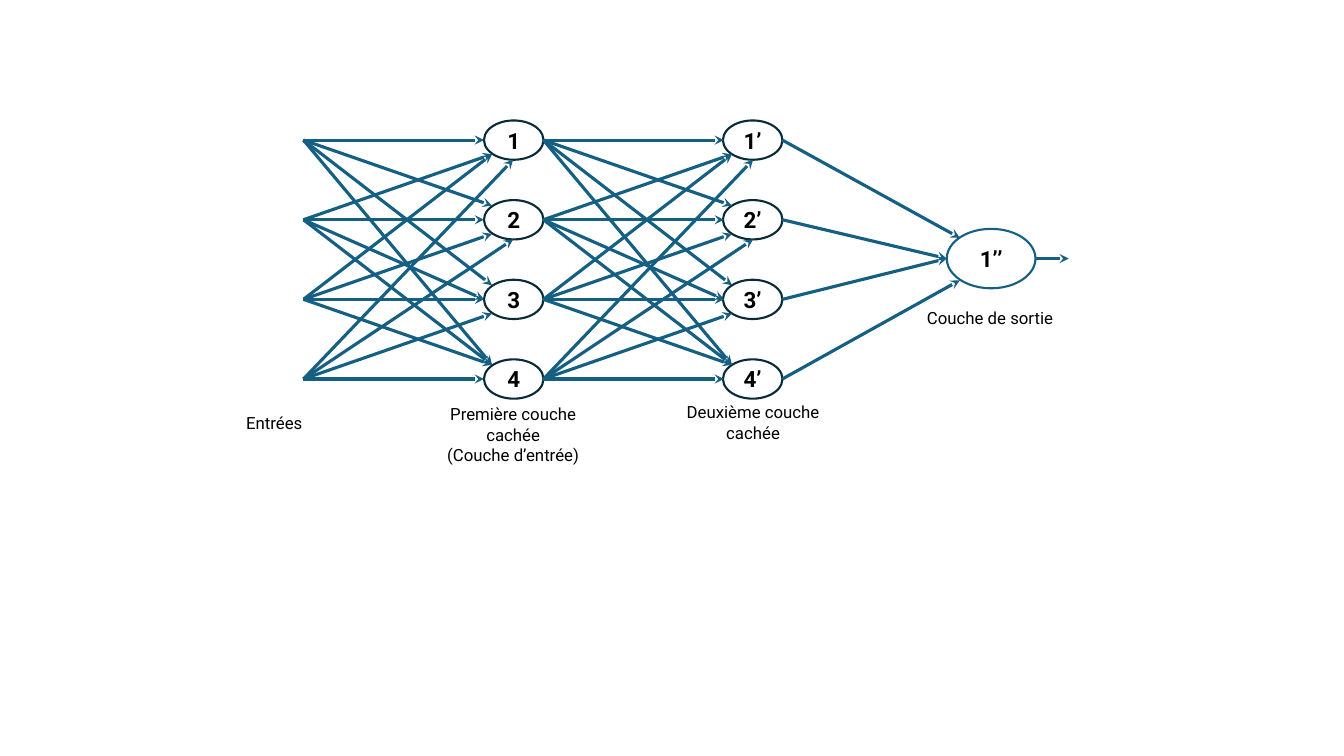
from lxml import etree
from pptx import Presentation
from pptx import util as u
from pptx.dml.color import RGBColor
from pptx.enum import shapes, text
from pptx.oxml.ns import qn

BLACK = RGBColor(0x00, 0x00, 0x00)
NAVY = RGBColor(0x09, 0x2A, 0x39)
TEAL = RGBColor(0x15, 0x60, 0x82)

ROWS = [1.39 + 0.79 * i for i in range(4)]
NODE_W, NODE_H = 0.59, 0.39
INPUT_X, LAYER_1_X, LAYER_2_X = 3.01, 4.8, 7.17
OUTPUT_X, OUTPUT_Y = 9.39, 2.565
OUTPUT_W, OUTPUT_H = 0.88, 0.59


def write(tf, lines, size=12, bold=False, color=BLACK, font="Roboto"):
    """Fill a text frame with centred paragraphs, one per line."""
    for i, line in enumerate(lines):
        p = tf.paragraphs[0] if i == 0 else tf.add_paragraph()
        p.alignment = text.PP_ALIGN.CENTER
        r = p.add_run()
        r.text = line
        r.font.size = u.Pt(size)
        r.font.bold = bold
        r.font.name = font
        r.font.color.rgb = color


class Diagram:
    node_line = u.Pt(1.5)
    arrow_line = u.Pt(2.25)

    def __init__(self, s):
        self.s = s

    def node(self, label, x, middle, w=NODE_W, h=NODE_H, outline=NAVY):
        sp = self.s.shapes.add_shape(
            shapes.MSO_SHAPE.OVAL, u.Inches(x), u.Inches(middle - h / 2),
            u.Inches(w), u.Inches(h))
        sp.shadow.inherit = False
        sp.fill.background()
        sp.line.color.rgb = outline
        sp.line.width = self.node_line
        tf = sp.text_frame
        tf.margin_left = tf.margin_right = tf.margin_top = tf.margin_bottom = 0
        tf.vertical_anchor = text.MSO_ANCHOR.MIDDLE
        write(tf, [label], size=16, bold=True)

    def arrow(self, x1, y1, x2, y2):
        c = self.s.shapes.add_connector(
            shapes.MSO_CONNECTOR.STRAIGHT,
            u.Inches(x1), u.Inches(y1), u.Inches(x2), u.Inches(y2))
        c.line.color.rgb = TEAL
        c.line.width = self.arrow_line
        etree.SubElement(c.line._get_or_add_ln(), qn("a:tailEnd"), type="stealth")
        etree.SubElement(c._element.spPr, qn("a:effectLst"))

    def mesh(self, start_x):
        """Join every row at start_x to every node of the next layer."""
        for i, start_y in enumerate(ROWS):
            for j, end_y in enumerate(ROWS):
                if i == j or (i, j) == (1, 2):
                    dx, dy = 1.79, 0  # left point of the node
                elif i == 3 and j < 2:
                    dx, dy = 2.08, NODE_H / 2  # bottom point
                else:
                    dx, dy = 1.87, 0.14 if i > j else -0.14  # left corners
                self.arrow(start_x, start_y, start_x + dx, end_y + dy)

    def caption(self, lines, x, y, w, h):
        tb = self.s.shapes.add_textbox(
            u.Inches(x), u.Inches(y), u.Inches(w), u.Inches(h))
        tf = tb.text_frame
        tf.word_wrap = True
        tf.auto_size = text.MSO_AUTO_SIZE.SHAPE_TO_FIT_TEXT
        write(tf, lines)


def main():
    prs = Presentation()
    prs.slide_width, prs.slide_height = u.Inches(13.33), u.Inches(7.5)
    d = Diagram(prs.slides.add_slide(prs.slide_layouts[6]))

    for x, mark in ((LAYER_1_X, ""), (LAYER_2_X, "’")):
        for number, y in enumerate(ROWS, 1):
            d.node(f"{number}{mark}", x, y)
    d.node("1’’", OUTPUT_X, OUTPUT_Y, OUTPUT_W, OUTPUT_H, TEAL)

    d.mesh(INPUT_X)
    d.mesh(LAYER_1_X + NODE_W)
    output_ends = ((9.52, 2.36), (OUTPUT_X, OUTPUT_Y),
                   (OUTPUT_X, OUTPUT_Y), (9.52, 2.78))
    for y, end in zip(ROWS, output_ends):
        d.arrow(LAYER_2_X + NODE_W, y, *end)
    d.arrow(OUTPUT_X + OUTPUT_W, OUTPUT_Y, 10.6, OUTPUT_Y)

    d.caption(["Entrées"], 2.33, 4.05, 0.78, 0.3)
    d.caption(["Première couche cachée", "(Couche d’entrée)"], 4.32, 3.96, 1.54, 0.71)
    d.caption(["Deuxième couche cachée"], 6.7, 3.94, 1.54, 0.5)
    d.caption(["Couche de sortie"], 9.05, 3, 1.54, 0.3)
    prs.save("out.pptx")


if __name__ == "__main__":
    main()
